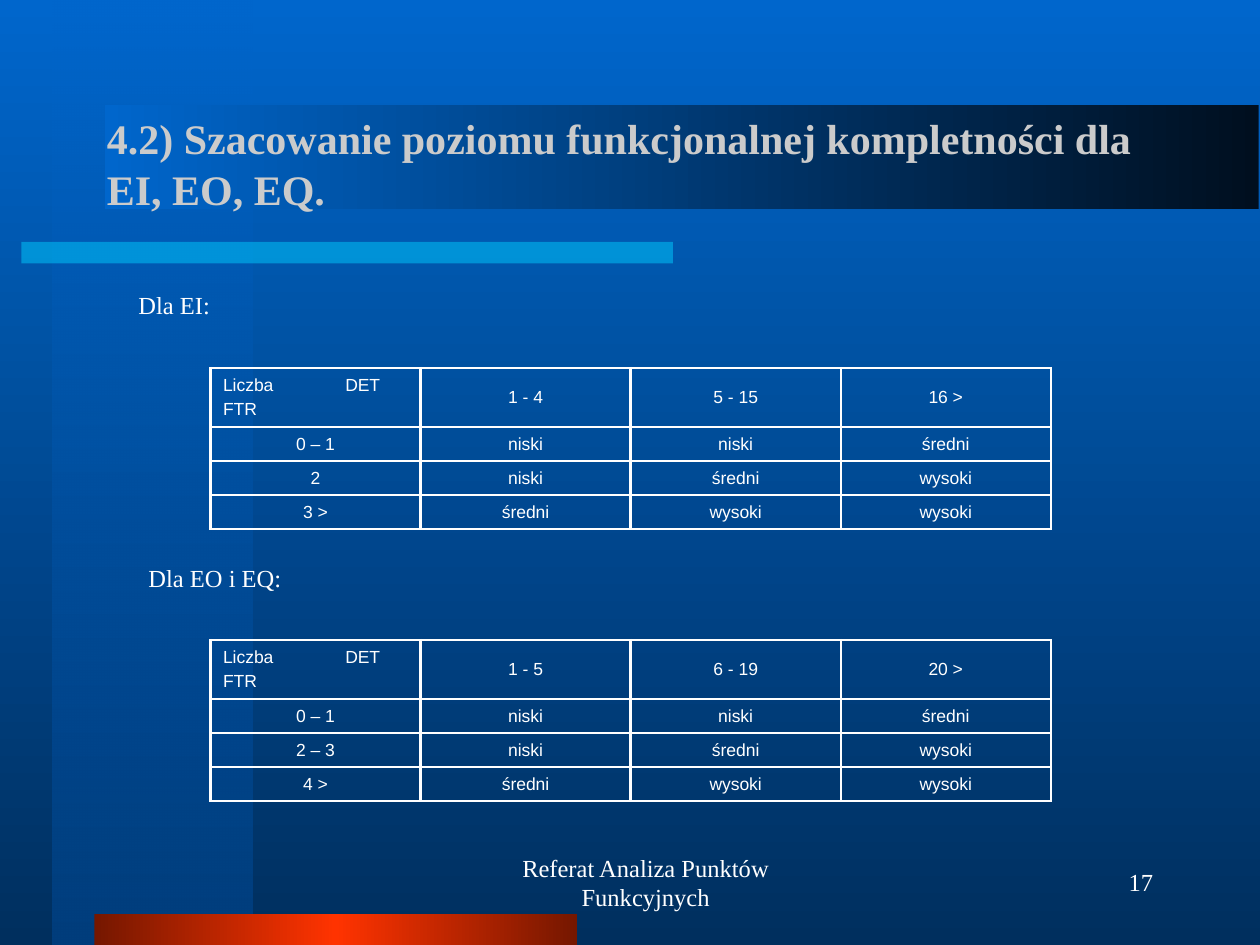
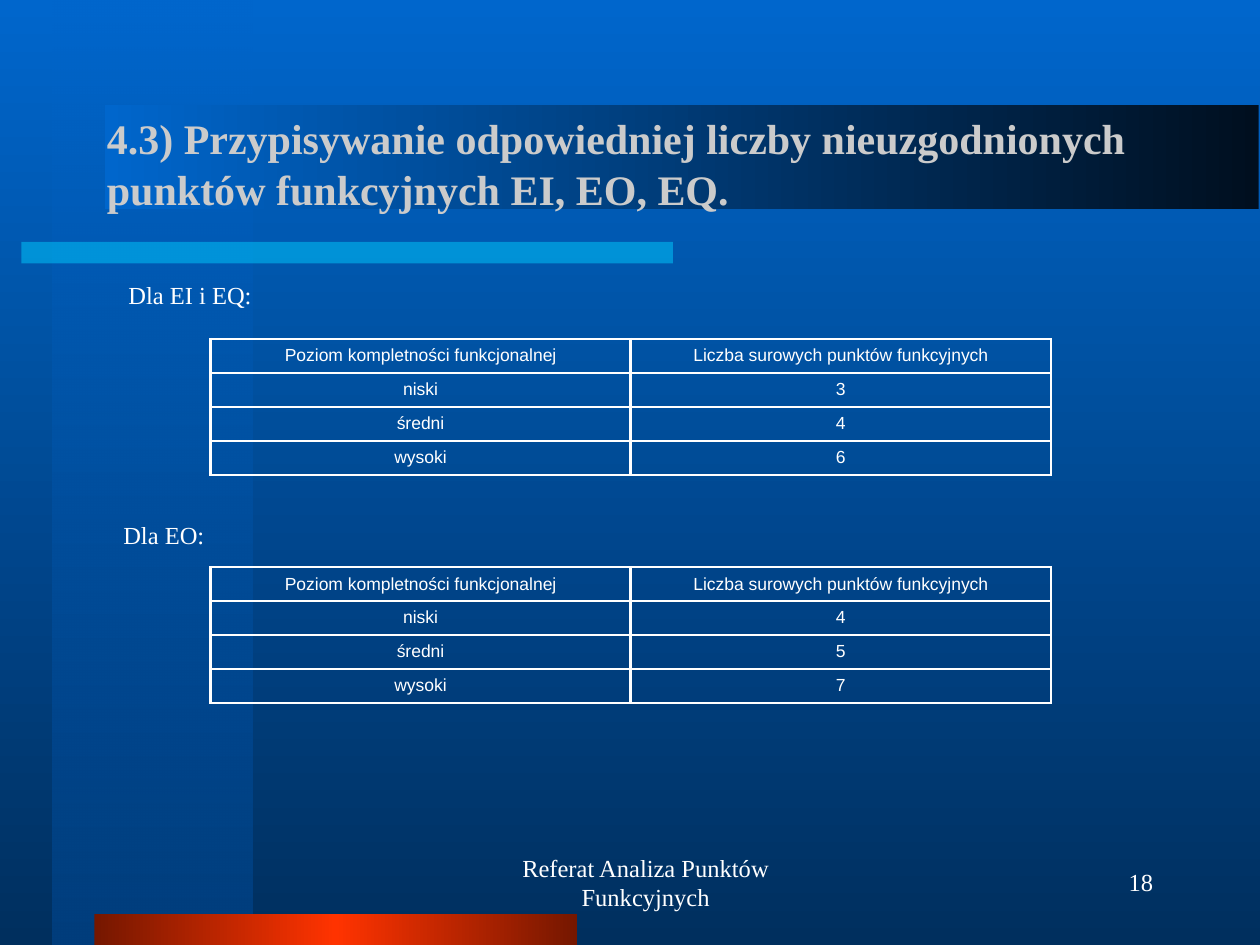
from dataclasses import dataclass

from lxml import etree
from pptx import Presentation
from pptx import util as u
from pptx.dml.color import RGBColor
from pptx.enum import shapes, text
from pptx.oxml.ns import qn


@dataclass(frozen=True)
class Theme:
    sky: str = "0066CC"
    navy: str = "002F5E"
    column_blue: str = "003E7D"
    cyan: str = "00CCFF"
    rust: str = "751700"
    orange: str = "FF3300"
    night: str = "000F1F"
    title_grey: str = "CBCBCB"
    white: str = "FFFFFF"
    serif: str = "Times New Roman"
    sans: str = "Arial"
    title_size: int = 24
    body_size: int = 14
    table_size: int = 10
    border_width: float = 1.47


THEME = Theme()
FOOTER = "Referat Analiza Punktów Funkcyjnych"
TABLE_LEFT, TABLE_WIDTH = 1.67, 6.67
ROW_HEIGHT, LINE_EXTRA = 0.27, 0.2
CORNER = "Liczba\tDET\nFTR"
CORNER_TAB = 0.97
LEVELS = ("niski", "średni", "wysoki")
POINTS_HEADER = ("Poziom kompletności funkcjonalnej", "Liczba surowych punktów funkcyjnych")


def add_color(parent, color, opacity=100):
    node = etree.SubElement(parent, qn("a:srgbClr"), val=color)
    if opacity < 100:
        etree.SubElement(node, qn("a:alpha"), val=str(opacity * 1000))


def paint(fill, owner, stops, angle):
    """Fill with (position, colour, opacity) stops; one stop gives a solid fill."""
    if len(stops) == 1:
        fill.solid()
        fill.fore_color.rgb = RGBColor.from_string(stops[0][1])
        solid = owner.find(".//" + qn("a:solidFill"))
        solid.clear()
        add_color(solid, *stops[0][1:])
        return
    fill.gradient()
    fill.gradient_angle = 360 - angle
    stop_list = owner.find(".//" + qn("a:gsLst"))
    stop_list.clear()
    for position, *color in stops:
        add_color(etree.SubElement(stop_list, qn("a:gs"), pos=str(position * 1000)), *color)


def add_band(slide, box, stops, angle=0):
    band = slide.shapes.add_shape(shapes.MSO_SHAPE.RECTANGLE, *map(u.Inches, box))
    band.shadow.inherit = False
    band.line.fill.background()
    paint(band.fill, band.element.spPr, stops, angle)


def write(paragraph, words, size, font, color=THEME.white, bold=False, align=text.PP_ALIGN.LEFT):
    paragraph.alignment = align
    run = paragraph.add_run()
    run.text = words
    run.font.size = u.Pt(size)
    run.font.name = font
    run.font.bold = bold
    run.font.color.rgb = RGBColor.from_string(color)


def add_text(slide, box, words, size=THEME.body_size, anchor=text.MSO_ANCHOR.MIDDLE, **style):
    frame = slide.shapes.add_textbox(*map(u.Inches, box)).text_frame
    frame.word_wrap = True
    frame.vertical_anchor = anchor
    write(frame.paragraphs[0], words, size, THEME.serif, **style)
    return frame.paragraphs[0]


def add_label(slide, left, top, words):
    add_text(slide, (left, top, 8.25, 0.34), words, anchor=text.MSO_ANCHOR.TOP)


def add_borders(cell):
    properties = cell._tc.get_or_add_tcPr()
    for index, side in enumerate(("lnL", "lnR", "lnT", "lnB")):
        line = etree.Element(qn("a:" + side), w=str(u.Pt(THEME.border_width)))
        add_color(etree.SubElement(line, qn("a:solidFill")), THEME.white)
        properties.insert(index, line)


def fill_cell(cell, words):
    cell.fill.background()
    cell.vertical_anchor = text.MSO_ANCHOR.MIDDLE
    add_borders(cell)
    lines = words.split("\n")
    align = text.PP_ALIGN.LEFT if len(lines) > 1 else text.PP_ALIGN.CENTER
    for index, line in enumerate(lines):
        paragraph = cell.text_frame.add_paragraph() if index else cell.text_frame.paragraphs[0]
        if index:
            paragraph.space_before = u.Pt(2.5)
        if "\t" in line:
            tabs = etree.SubElement(paragraph._p.get_or_add_pPr(), qn("a:tabLst"))
            etree.SubElement(tabs, qn("a:tab"), pos=str(u.Inches(CORNER_TAB)), algn="l")
        write(paragraph, line, THEME.table_size, THEME.sans, align=align)


def add_grid(slide, top, rows):
    heights = [ROW_HEIGHT + LINE_EXTRA * any("\n" in words for words in row) for row in rows]
    columns = len(rows[0])
    table = slide.shapes.add_table(
        len(rows), columns, u.Inches(TABLE_LEFT), u.Inches(top),
        u.Inches(TABLE_WIDTH), u.Inches(sum(heights))).table
    table.first_row = table.horz_banding = False
    for column in table.columns:
        column.width = u.Inches(TABLE_WIDTH / columns)
    for r, row in enumerate(rows):
        table.rows[r].height = u.Inches(heights[r])
        for c, words in enumerate(row):
            fill_cell(table.cell(r, c), words)


def add_complexity_table(slide, top, det_ranges, ftr_ranges):
    """Each level rises along the diagonals of the grid."""
    low, medium, high = LEVELS
    ratings = ((low, low, medium), (low, medium, high), (medium, high, high))
    body = [(ftr, *row) for ftr, row in zip(ftr_ranges, ratings)]
    add_grid(slide, top, [(CORNER, *det_ranges), *body])


def add_points_table(slide, top, points):
    add_grid(slide, top, [POINTS_HEADER, *zip(LEVELS, points)])


def add_base_slide(deck, title, number):
    """Add a slide with the shared background, bands, title and footer."""
    slide = deck.slides.add_slide(deck.slide_layouts[6])
    paint(slide.background.fill, slide.element, [(0, THEME.sky), (100, THEME.navy)], 90)
    add_band(slide, (0.42, 0, 1.58, 7.5), [(0, THEME.sky, 50), (100, THEME.column_blue)], 90)
    add_band(slide, (0.17, 1.92, 5.17, 0.17), [(0, THEME.cyan, 50)])
    add_band(slide, (0.75, 7.25, 3.83, 0.25),
             [(0, THEME.rust), (50, THEME.orange), (100, THEME.rust)], 180)
    add_band(slide, (0.83, 0.83, 9.16, 0.83), [(0, THEME.night), (100, THEME.sky)], 180)
    add_text(slide, (0.75, 0.67, 8.5, 1.25), title, THEME.title_size,
             color=THEME.title_grey, bold=True)
    footer = add_text(slide, (3.42, 6.75, 3.17, 0.5), FOOTER, align=text.PP_ALIGN.CENTER)
    footer._p.get_or_add_pPr().set("marL", str(u.Inches(0.24)))
    add_text(slide, (7.17, 6.75, 2.08, 0.5), str(number), align=text.PP_ALIGN.RIGHT)
    return slide


def main():
    deck = Presentation()
    deck.slide_width, deck.slide_height = u.Inches(10), u.Inches(7.5)

    complexity = add_base_slide(
        deck, "4.2) Szacowanie poziomu funkcjonalnej kompletności dla EI, EO, EQ.", 17)
    add_label(complexity, 1, 2.25, "Dla EI:")
    add_complexity_table(complexity, 2.92, ("1 - 4", "5 - 15", "16 >"), ("0 – 1", "2", "3 >"))
    add_label(complexity, 1.08, 4.42, "Dla EO i EQ:")
    add_complexity_table(complexity, 5.08, ("1 - 5", "6 - 19", "20 >"), ("0 – 1", "2 – 3", "4 >"))

    points = add_base_slide(
        deck, "4.3) Przypisywanie odpowiedniej liczby nieuzgodnionych "
              "punktów funkcyjnych EI, EO, EQ.", 18)
    add_label(points, 0.92, 2.17, "Dla EI i EQ:")
    add_points_table(points, 2.69, "346")
    add_label(points, 0.88, 4.08, "Dla EO:")
    add_points_table(points, 4.5, "457")

    deck.save("out.pptx")


if __name__ == "__main__":
    main()
